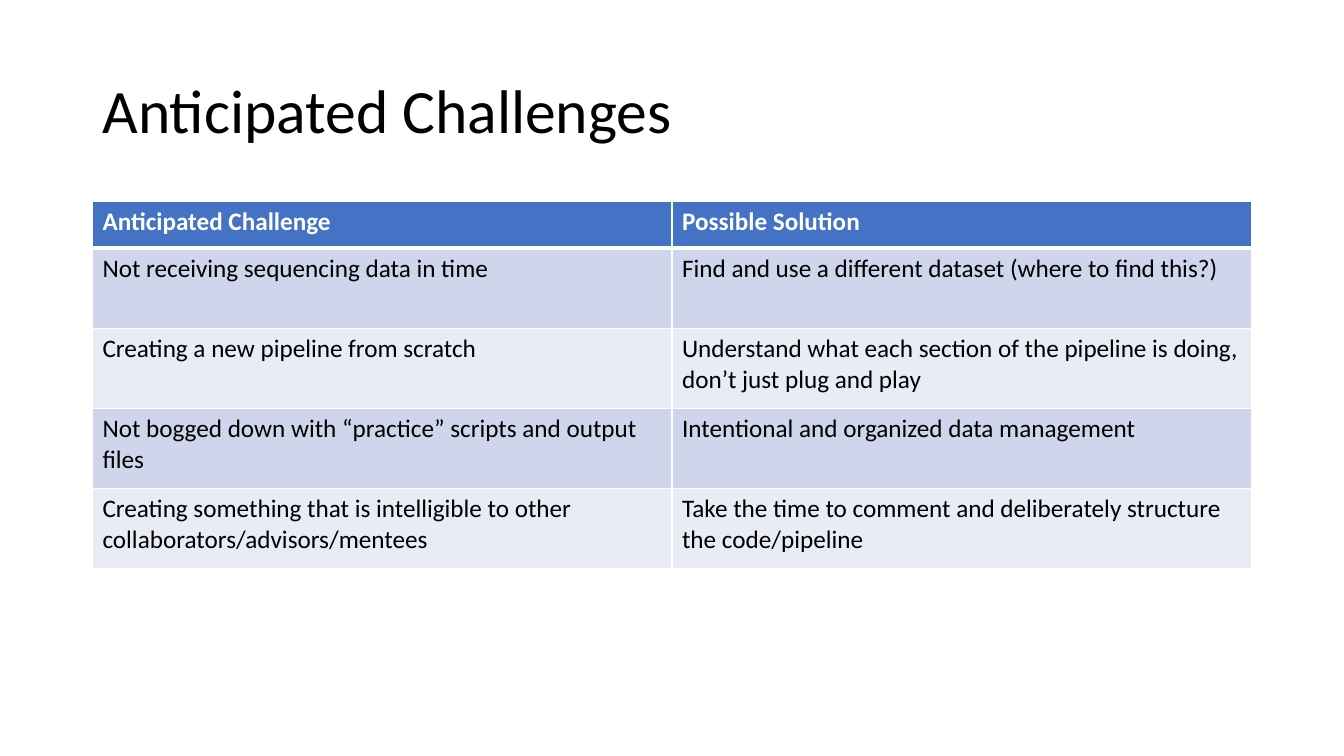
import pptx
import pptx.util
import pptx.dml.color
import pptx.enum.text
import pptx.oxml
import pptx.oxml.ns
from pptx.util import Cm

HUES = {
    "head": "4472C4",
    "dark": "CFD5EA",
    "light": "E9EBF5",
    "white": "FFFFFF",
    "black": "000000",
}
ROWS = [
    ("Anticipated Challenge", "Possible Solution"),
    ("Not receiving sequencing data in time",
     "Find and use a different dataset (where to find this?)"),
    ("Creating a new pipeline from scratch",
     "Understand what each section of the pipeline is doing, don’t just plug and play"),
    ("Not bogged down with “practice” scripts and output files",
     "Intentional and organized data management"),
    ("Creating something that is intelligible to other collaborators/advisors/mentees",
     "Take the time to comment and deliberately structure the code/pipeline"),
]


def color(name):
    return pptx.dml.color.RGBColor.from_string(HUES[name])


def add_run(para, text, size, hue, bold=False):
    run = para.add_run()
    run.text = text
    run.font.name = "Calibri"
    run.font.size = pptx.util.Pt(size)
    run.font.bold = bold
    run.font.color.rgb = color(hue)


def add_edge(cell, side, width):
    line = pptx.oxml.parse_xml(
        f'<a:ln{side} {pptx.oxml.ns.nsdecls("a")} w="{pptx.util.Pt(width)}">'
        f'<a:solidFill><a:srgbClr val="{HUES["white"]}"/></a:solidFill></a:ln{side}>')
    cell._tc.get_or_add_tcPr().append(line)


def add_title(slide, text, left, top, width, height):
    title = slide.shapes.title
    title.left, title.top = Cm(left), Cm(top)
    title.width, title.height = Cm(width), Cm(height)
    frame = title.text_frame
    frame.word_wrap = True
    frame.auto_size = pptx.enum.text.MSO_AUTO_SIZE.NONE
    frame.vertical_anchor = pptx.enum.text.MSO_ANCHOR.MIDDLE
    para = frame.paragraphs[0]
    para.alignment = pptx.enum.text.PP_ALIGN.LEFT
    para.line_spacing = 0.9
    add_run(para, text, 44, "black")


def add_grid(slide, rows, left, top, width, height, head):
    count = len(rows)
    table = slide.shapes.add_table(
        count, len(rows[0]), Cm(left), Cm(top), Cm(width), Cm(height)).table
    for r, texts in enumerate(rows):
        table.rows[r].height = Cm(head if r == 0 else (height - head) / (count - 1))
        fill = "head" if r == 0 else ("dark" if r % 2 else "light")
        for c, text in enumerate(texts):
            cell = table.cell(r, c)
            for side in "LRTB":
                thick = (r, side) in ((0, "B"), (1, "T"))
                add_edge(cell, side, 3 if thick else 1)
            cell.fill.solid()
            cell.fill.fore_color.rgb = color(fill)
            add_run(cell.text_frame.paragraphs[0], text, 18,
                    "black" if r else "white", r == 0)


def main():
    deck = pptx.Presentation()
    deck.slide_width, deck.slide_height = Cm(33.87), Cm(19.05)
    slide = deck.slides.add_slide(deck.slide_layouts[5])
    left, width = 2.33, 29.21
    add_title(slide, "Anticipated Challenges", left, 1.01, width, 3.68)
    add_grid(slide, ROWS, left, 5.08, width, 9.25, 1.17)
    deck.save("out.pptx")


if __name__ == "__main__":
    main()
